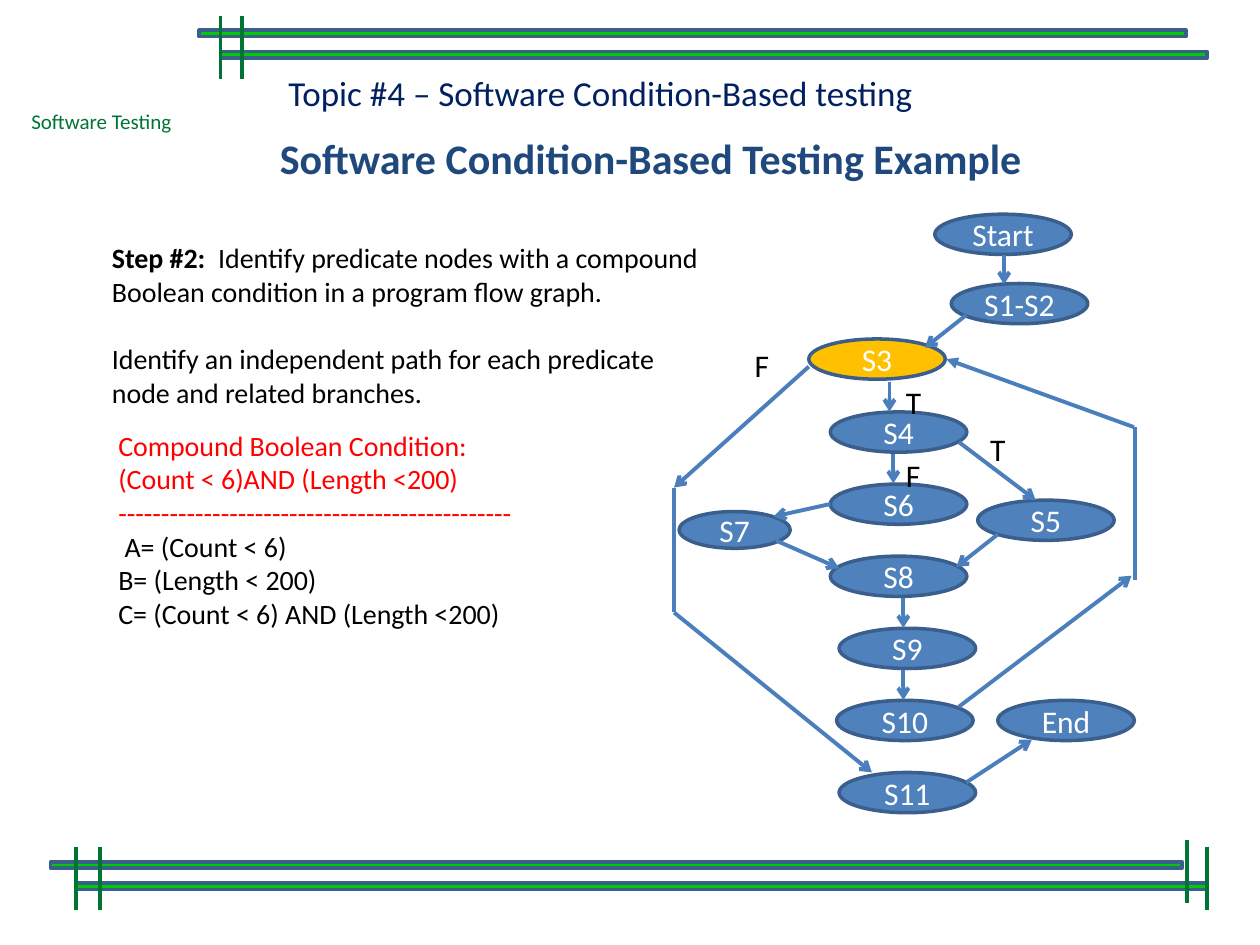
"""Build the condition-based testing slide with its program flow graph."""
from lxml.etree import SubElement
from pptx import Presentation
from pptx.dml.color import RGBColor
from pptx.enum.shapes import MSO_CONNECTOR, MSO_SHAPE
from pptx.enum.text import MSO_ANCHOR, PP_ALIGN
from pptx.oxml.ns import qn
from pptx.util import Pt

COLORS = {"green": "007434", "rail": "00CC00", "outline": "3A5F8C", "node": "4F81BD",
          "amber": "FFC000", "arrow": "4B7EBC", "navy": "002060", "title": "1F497D",
          "red": "FF0000", "black": "000000", "white": "FFFFFF"}

RAILS = [(113.8, 17.3, 563.8), (126, 29.5, 563.8), (28.8, 492.5, 646.6), (43.2, 504.7, 646.6)]
POSTS = [(126, 9.4), (138.2, 9.4), (43.2, 483.8), (56.9, 483.8), (689.8, 483.8), (678.2, 480.2)]
POST_HEIGHT = 36

COURSE = "Software Testing"
TOPIC = "Topic #4 – Software Condition-Based testing"
TITLE = "Software Condition-Based Testing Example"
STEP = [("Step #2:  ", "Identify predicate nodes with a compound Boolean condition in a program flow graph."),
        ("", "Identify an independent path for each predicate node and related branches.")]
CONDITIONS = [("Compound Boolean Condition:", "red"),
              ("(Count < 6)AND (Length <200)", "red"),
              ("-" * 46, "red"),
              (" A= (Count < 6)", "black"),
              ("B= (Length < 200)", "black"),
              ("C= (Count < 6) AND (Length <200)", "black")]

ROW_TOP, ROW_STEP = 235.4, 41.2
NODE_SIZE, SMALL_NODE = (78, 23), (63.4, 21)
FREE_NODES = {"Start": (534.2, 122.4), "S1-S2": (543.6, 162), "S3": (462.2, 193.7),
              "S5": (558.7, 285.8), "S7": (388.1, 292.3), "End": (570.2, 400.2)}
COLUMN_NODES = {"S4": 474.5, "S6": 474.5, "S8": 474.5, "S9": 479.5, "S10": 478.1, "S11": 479.5}

DROP_LENGTH = 17
DROPS = [(573.8, 145.5), (508.3, 218.2), (510.5, 259.2), (516.2, 341.8), (516.2, 383)]
BRANCHES = [(548, 252.7, 591.8, 285.8), (474.5, 288, 442, 295.2), (570.2, 305.3, 546.5, 324),
            (443.5, 308.9, 479.5, 324.7), (547.9, 403.9, 646.6, 329), (552.2, 180, 528.5, 198.7),
            (462.2, 209.5, 385.2, 278.6), (552.2, 447.1, 589.7, 422.6), (385.2, 350, 498.2, 441.4)]
PLAIN_LINES = [(648.7, 331.2, 648.7, 244.1), (385.2, 350, 385.2, 278.6)]
LOOP_BACK = (648, 244.1, 540.7, 205.2)
BRANCH_LABELS = [("T", 510.5, 215.3), ("T", 558.7, 241.9), ("F", 510.5, 257), ("F", 424.1, 194.4)]


def color(name):
    return RGBColor.from_string(COLORS[name])


def set_font(paragraph, size, name, bold=False):
    font = paragraph.font
    font.name, font.size, font.bold = "Calibri", Pt(size), bold
    font.color.rgb = color(name)


def add_shape(page, kind, frame, fill, outline=None):
    shape = page.shapes.add_shape(kind, *map(Pt, frame))
    shape.shadow.inherit = False
    shape.fill.solid()
    shape.fill.fore_color.rgb = color(fill)
    if outline:
        shape.line.color.rgb = color(outline)
        shape.line.width = Pt(2)
    else:
        shape.line.fill.background()
    return shape


def add_line(page, ends, name, head=None):
    line = page.shapes.add_connector(MSO_CONNECTOR.STRAIGHT, *map(Pt, ends))
    line.line.color.rgb = color(name)
    line.line.width = Pt(2.25)
    if head:
        SubElement(line.line._get_or_add_ln(), qn("a:tailEnd"), type=head)
    SubElement(line._element.spPr, qn("a:effectLst"))


def add_text(page, frame, lines, size, wrap=False):
    box = page.shapes.add_textbox(*map(Pt, frame))
    text = box.text_frame
    text.word_wrap = wrap
    for index, (words, name) in enumerate(lines):
        paragraph = text.add_paragraph() if index else text.paragraphs[0]
        paragraph.add_run().text = words
        set_font(paragraph, size, name)


def add_headings(page):
    add_text(page, (10.8, 58.3, 95.8, 21.6), [(COURSE, "green")], 12)
    topic = add_shape(page, MSO_SHAPE.RECTANGLE, (157.7, 37.4, 478.8, 31.7), "white")
    title = add_shape(page, MSO_SHAPE.RECTANGLE, (140.4, 72, 463, 39.6), "white")
    topic.text_frame.text, title.text_frame.text = TOPIC, TITLE
    topic.text_frame.vertical_anchor = MSO_ANCHOR.TOP
    topic.text_frame.paragraphs[0].alignment = PP_ALIGN.LEFT
    set_font(topic.text_frame.paragraphs[0], 20, "navy")
    heading = title.text_frame.paragraphs[0]
    heading.alignment = PP_ALIGN.CENTER
    heading.line_spacing = 0.9
    set_font(heading, 24, "title", True)


def add_step(page):
    box = page.shapes.add_textbox(Pt(56.9), Pt(133.9), Pt(357.1), Pt(104.4))
    text = box.text_frame
    text.word_wrap = True
    for index, (lead, words) in enumerate(STEP):
        paragraph = text.add_paragraph() if index else text.paragraphs[0]
        if lead:
            span = paragraph.add_run()
            span.text, span.font.bold = lead, True
        if index:
            paragraph.space_before = Pt(19.5)
        paragraph.add_run().text = words
        set_font(paragraph, 16, "black")


def add_node(page, name, left, top):
    size = SMALL_NODE if name == "S7" else NODE_SIZE
    fill = "amber" if name == "S3" else "node"
    node = add_shape(page, MSO_SHAPE.OVAL, (left, top, *size), fill, "outline")
    text = node.text_frame
    text.margin_left = text.margin_right = 0
    text.vertical_anchor = MSO_ANCHOR.MIDDLE
    text.text = name
    text.paragraphs[0].alignment = PP_ALIGN.CENTER
    set_font(text.paragraphs[0], 18, "white")


def add_flow_graph(page):
    for name, (left, top) in FREE_NODES.items():
        add_node(page, name, left, top)
    for row, (name, left) in enumerate(COLUMN_NODES.items()):
        add_node(page, name, left, ROW_TOP + row * ROW_STEP)
    drops = [(x, y, x, y + DROP_LENGTH) for x, y in DROPS]
    for ends in drops + BRANCHES:
        add_line(page, ends, "arrow", "arrow")
    for ends in PLAIN_LINES:
        add_line(page, ends, "arrow")
    add_line(page, LOOP_BACK, "arrow", "triangle")
    for words, left, top in BRANCH_LABELS:
        add_text(page, (left, top, 23, 22.3), [(words, "black")], 18)


def main():
    deck = Presentation()
    deck.slide_width, deck.slide_height = Pt(720), Pt(540)
    page = deck.slides.add_slide(deck.slide_layouts[6])
    for left, top, width in RAILS:
        add_shape(page, MSO_SHAPE.FLOWCHART_PROCESS, (left, top, width, 3.6), "rail", "outline")
    for x, y in POSTS:
        add_line(page, (x, y, x, y + POST_HEIGHT), "green")
    add_headings(page)
    add_text(page, (60.5, 241.2, 241.2, 123.8), CONDITIONS, 16)
    add_flow_graph(page)
    add_step(page)
    deck.save("out.pptx")


if __name__ == "__main__":
    main()
